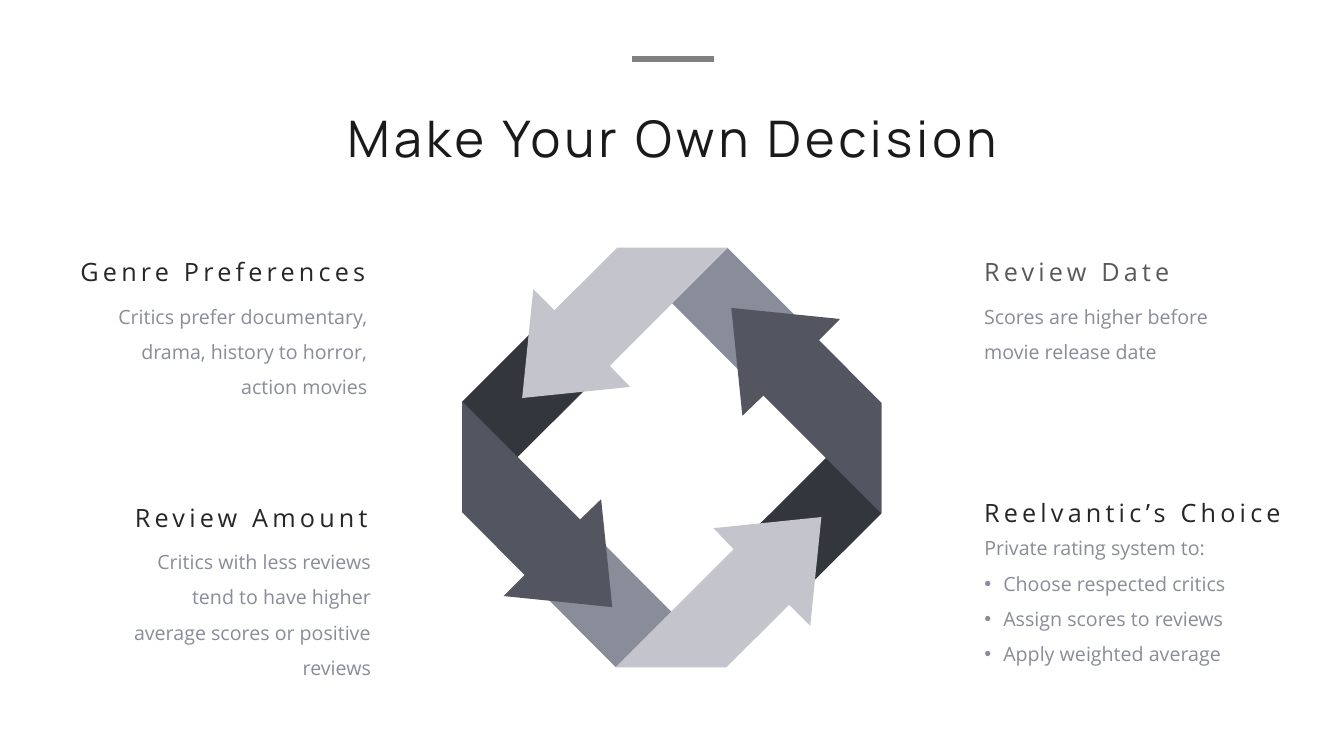
from dataclasses import dataclass
from typing import Any

from lxml import etree
from pptx import Presentation
from pptx import util as u
from pptx.dml import color
from pptx.enum import shapes, text
from pptx.oxml import ns

COLORS = {
    "title": "1A1A1A", "heading": "262626", "soft": "595959", "body": "898C99",
    "rule": "808080", "slate": "898C99", "ink": "34363D",
    "graphite": "535660", "mist": "C4C5CC",
}
LEFT, RIGHT, CENTER = text.PP_ALIGN.LEFT, text.PP_ALIGN.RIGHT, text.PP_ALIGN.CENTER
RING_CENTER = (16.93, 11.53)
BAND = [(-1.38, -5.28), (2.32, -1.57), (3.72, -2.97), (1.41, -5.28)]
ARROW = [(1.41, -5.28), (-1.38, -5.28), (-2.96, -3.71), (-3.49, -4.24),
         (-3.77, -1.5), (-1.05, -1.78), (-1.56, -2.31)]
BULLET_INDENT = 0.48


@dataclass(frozen=True)
class Box:
    left: float
    top: float
    width: float
    height: float


@dataclass(frozen=True)
class Style:
    font: str
    size: int
    color: str
    tracking: int = 0


@dataclass(frozen=True)
class Factor:
    heading: str
    heading_box: Box
    heading_style: Style
    lines: tuple[str, ...]
    body_box: Box
    align: Any
    bulleted: bool = False


TITLE = Style("Manrope", 36, "title", 300)
HEADING = Style("Open Sans", 18, "heading", 300)
SOFT_HEADING = Style("Open Sans", 18, "soft", 300)
BODY = Style("Open Sans", 14, "body")

FACTORS = [
    Factor("Genre Preferences", Box(1.2, 5.96, 8.26, 1.27), HEADING,
           ("Critics prefer documentary, drama, history to horror, action movies",),
           Box(2.7, 7.26, 6.81, 2.84), RIGHT),
    Factor("Review Amount", Box(0.38, 12.14, 9.14, 1.27), HEADING,
           ("Critics with less reviews tend to have higher average scores or positive reviews",),
           Box(2.79, 13.44, 6.81, 2.84), RIGHT),
    Factor("Review Date", Box(24.55, 5.96, 8.43, 1.27), SOFT_HEADING,
           ("Scores are higher before movie release date",),
           Box(24.55, 7.26, 6.81, 1.93), LEFT),
    Factor("Reelvantic’s Choice", Box(24.55, 12.02, 8.94, 1.27), HEADING,
           ("Private rating system to:", "Choose respected critics",
            "Assign scores to reviews", "Apply weighted average"),
           Box(24.55, 13.09, 6.81, 3.73), LEFT, True),
]


def rgb(name: str) -> color.RGBColor:
    return color.RGBColor.from_string(COLORS[name])


def apply(target: Any, formats: dict[str, Any]) -> None:
    for attribute, value in formats.items():
        setattr(target, attribute, value)


def place(holder: Any, box: Box) -> None:
    apply(holder, {side: u.Cm(getattr(box, side))
                   for side in ("left", "top", "width", "height")})


def set_bullet(paragraph: Any, shown: bool) -> None:
    properties = paragraph._p.get_or_add_pPr()
    indent = u.Cm(BULLET_INDENT) if shown else 0
    properties.set("marL", str(int(indent)))
    properties.set("indent", str(-int(indent)))
    bullet = etree.SubElement(properties, ns.qn("a:buChar" if shown else "a:buNone"))
    if shown:
        bullet.set("char", "•")


def write(holder: Any, box: Box, lines: tuple[str, ...], style: Style,
          align: Any, bulleted: bool = False) -> None:
    place(holder, box)
    frame = holder.text_frame
    apply(frame, {"text": "\n".join(lines), "word_wrap": True,
                  "auto_size": text.MSO_AUTO_SIZE.SHAPE_TO_FIT_TEXT,
                  "vertical_anchor": text.MSO_ANCHOR.TOP})
    for position, paragraph in enumerate(frame.paragraphs):
        apply(paragraph, {"alignment": align, "line_spacing": 1.5,
                          "space_before": u.Pt(0)})
        set_bullet(paragraph, bulleted and position > 0)
        for run in paragraph.runs:
            apply(run.font, {"name": style.font, "size": u.Pt(style.size), "bold": False})
            run.font.color.rgb = rgb(style.color)
            if style.tracking:
                run.font._element.set("spc", str(style.tracking))


def draw_ring_piece(slide: Any, outline: list[tuple[float, float]],
                    turns: int, fill: str) -> None:
    for _ in range(turns):
        outline = [(y, -x) for x, y in outline]
    center_x, center_y = RING_CENTER
    corners = [(u.Cm(center_x + x), u.Cm(center_y + y)) for x, y in outline]
    builder = slide.shapes.build_freeform(*corners[0])
    builder.add_line_segments(corners[1:], close=True)
    piece = builder.convert_to_shape()
    piece.shadow.inherit = False
    piece.fill.solid()
    piece.fill.fore_color.rgb = rgb(fill)
    piece.line.fill.background()


def draw_rule(slide: Any) -> None:
    rule = slide.shapes.add_connector(
        shapes.MSO_CONNECTOR.STRAIGHT, u.Cm(15.93), u.Cm(1.48), u.Cm(17.99), u.Cm(1.48))
    rule.line.color.rgb = rgb("rule")
    rule.line.width = u.Pt(4.5)
    etree.SubElement(rule._element.spPr, ns.qn("a:effectLst"))


def main() -> None:
    deck = Presentation()
    apply(deck, {"slide_width": u.Cm(33.87), "slide_height": u.Cm(19.05)})
    slide = deck.slides.add_slide(deck.slide_layouts[1])

    for outline, fills in ((BAND, ("slate", "ink")), (ARROW, ("mist", "graphite"))):
        for turns in range(4):
            draw_ring_piece(slide, outline, turns, fills[turns % 2])

    for factor in FACTORS:
        heading = slide.shapes.add_textbox(0, 0, 0, 0)
        write(heading, factor.heading_box, (factor.heading,),
              factor.heading_style, factor.align)
        body = (slide.placeholders[1] if factor.bulleted
                else slide.shapes.add_textbox(0, 0, 0, 0))
        write(body, factor.body_box, factor.lines, BODY, factor.align, factor.bulleted)

    write(slide.shapes.title, Box(8.31, 1.8, 17.27, 2.29),
          ("Make Your Own Decision",), TITLE, CENTER)
    draw_rule(slide)
    deck.save("out.pptx")


if __name__ == "__main__":
    main()
